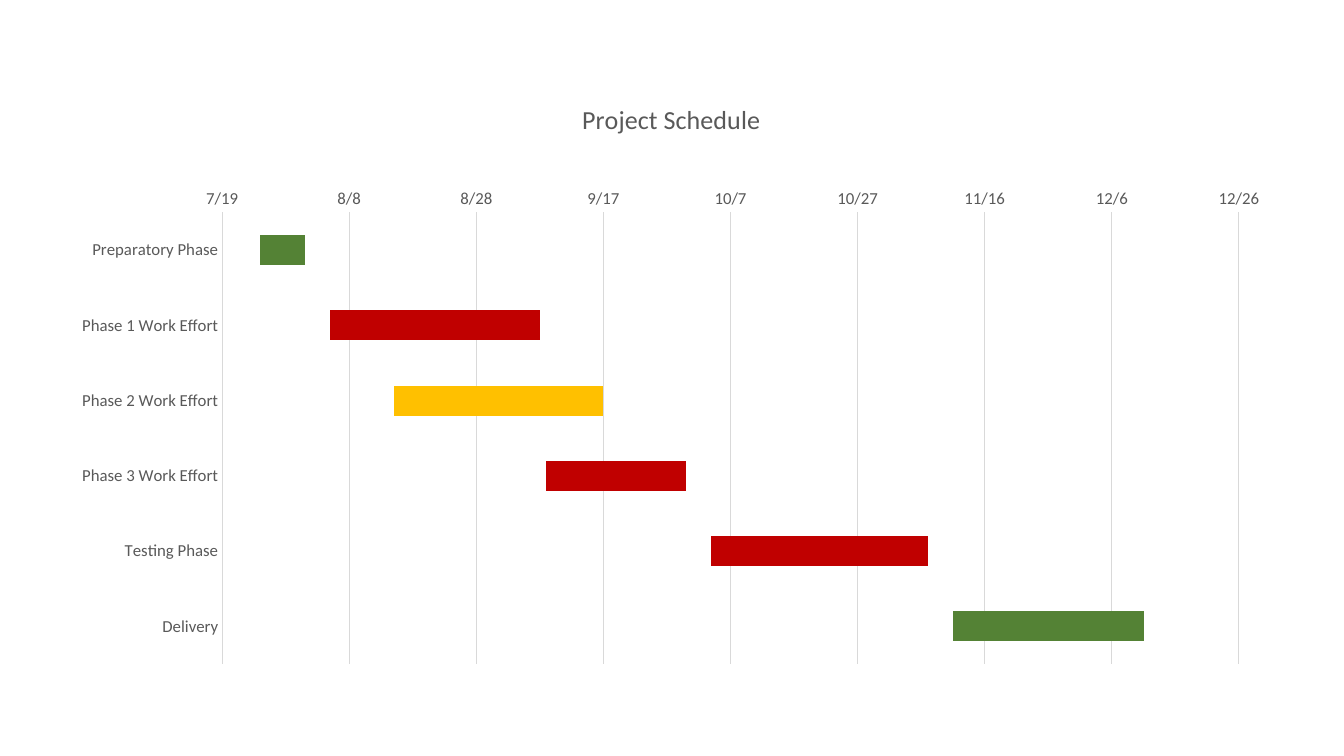
from lxml import etree
from pptx import Presentation
from pptx import util as u
from pptx.chart.data import CategoryChartData
from pptx.dml.color import RGBColor
from pptx.enum import chart as charts
from pptx.oxml.ns import qn

FONT = "Calibri"
GREY = RGBColor(0x59, 0x59, 0x59)
LIGHT_GREY = RGBColor(0xD9, 0xD9, 0xD9)
WHITE = RGBColor(0xFF, 0xFF, 0xFF)
RED = RGBColor(0xC0, 0x00, 0x00)
GREEN = RGBColor(0x54, 0x82, 0x35)
AMBER = RGBColor(0xFF, 0xC0, 0x00)

# Phase, start as a date serial number, days, bar colour
PHASES = [
    ("Preparatory Phase", 43306, 7, GREEN),
    ("Phase 1 Work Effort", 43317, 33, RED),
    ("Phase 2 Work Effort", 43327, 33, AMBER),
    ("Phase 3 Work Effort", 43351, 22, RED),
    ("Testing Phase", 43377, 34, RED),
    ("Delivery", 43415, 30, GREEN),
]
FIRST_DAY, DAY_STEP, STEPS = 43300, 20, 8


def format_font(font, size=12, color=GREY):
    """Set typeface, size, weight and colour of a font."""
    font.name = FONT
    font.size = u.Pt(size)
    font.bold = False
    font.color.rgb = color


def set_title(chart, wording, **font_format):
    """Give the chart a title with the given font format."""
    chart.has_title = True
    paragraph = chart.chart_title.text_frame.paragraphs[0]
    run = paragraph.add_run()
    run.text = wording
    format_font(run.font, **font_format)
    chart.chart_title.include_in_layout = False


def format_line(line):
    """Draw a thin light grey line."""
    line.color.rgb = LIGHT_GREY
    line.width = u.Pt(0.75)


def place_plot(chart, **shares):
    """Fix the inner plot area as shares x, y, w, h of the chart."""
    plot_area = chart.plots[0]._element.getparent()
    for old_layout in plot_area.findall(qn("c:layout")):
        plot_area.remove(old_layout)
    layout = etree.Element(qn("c:layout"))
    manual = etree.SubElement(layout, qn("c:manualLayout"))
    settings = {"layoutTarget": "inner", "xMode": "edge", "yMode": "edge", **shares}
    for name, value in settings.items():
        etree.SubElement(manual, qn(f"c:{name}")).set("val", str(value))
    plot_area.insert(0, layout)


def format_axes(chart):
    """List phases from the top down and dates along the top."""
    phases, dates = chart.category_axis, chart.value_axis
    for axis in (phases, dates):
        axis.major_tick_mark = axis.minor_tick_mark = charts.XL_TICK_MARK.NONE
        format_font(axis.tick_labels.font)
    phases.reverse_order = True
    phases.has_major_gridlines = False
    format_line(phases.format.line)

    dates.minimum_scale = FIRST_DAY
    dates.maximum_scale = FIRST_DAY + DAY_STEP * STEPS
    dates.major_unit = DAY_STEP
    dates.tick_labels.number_format = "m/d;@"
    dates.tick_labels.number_format_is_linked = False
    dates.format.line.fill.background()
    dates.has_major_gridlines = True
    format_line(dates.major_gridlines.format.line)


def color_bars(plot):
    """Hide the start offsets and colour each duration bar."""
    plot.gap_width, plot.overlap = 150, 100
    plot.vary_by_categories = False
    offsets, durations = plot.series
    offsets.format.fill.background()
    offsets.format.line.fill.background()
    durations.format.fill.solid()
    durations.format.fill.fore_color.rgb = RED
    for index, (*_, color) in enumerate(PHASES):
        if color != RED:
            fill = durations.points[index].format.fill
            fill.solid()
            fill.fore_color.rgb = color


def add_schedule(slide, width, height):
    """Add the Gantt chart, placed by shares of the slide's size."""
    names, starts, days, _ = zip(*PHASES)
    data = CategoryChartData()
    data.categories = names
    data.add_series("Series 1", starts)
    data.add_series("Series 2", days)
    chart = slide.shapes.add_chart(
        charts.XL_CHART_TYPE.BAR_STACKED,
        int(width * 0.0435), int(height * 0.105),
        int(width * 0.912), int(height * 0.79), data,
    ).chart
    chart.has_legend = False
    format_font(chart.font)
    set_title(chart, "Project Schedule", size=18.6)
    format_axes(chart)
    color_bars(chart.plots[0])
    place_plot(chart, x=0.1336, y=0.223, w=0.8295, h=0.756)


def main():
    """Build the project schedule slide."""
    presentation = Presentation()
    presentation.slide_width = u.Inches(13.33)
    presentation.slide_height = u.Inches(7.5)
    slide = presentation.slides.add_slide(presentation.slide_layouts[6])
    slide.background.fill.solid()
    slide.background.fill.fore_color.rgb = WHITE
    add_schedule(slide, presentation.slide_width, presentation.slide_height)
    presentation.save("out.pptx")


main()
